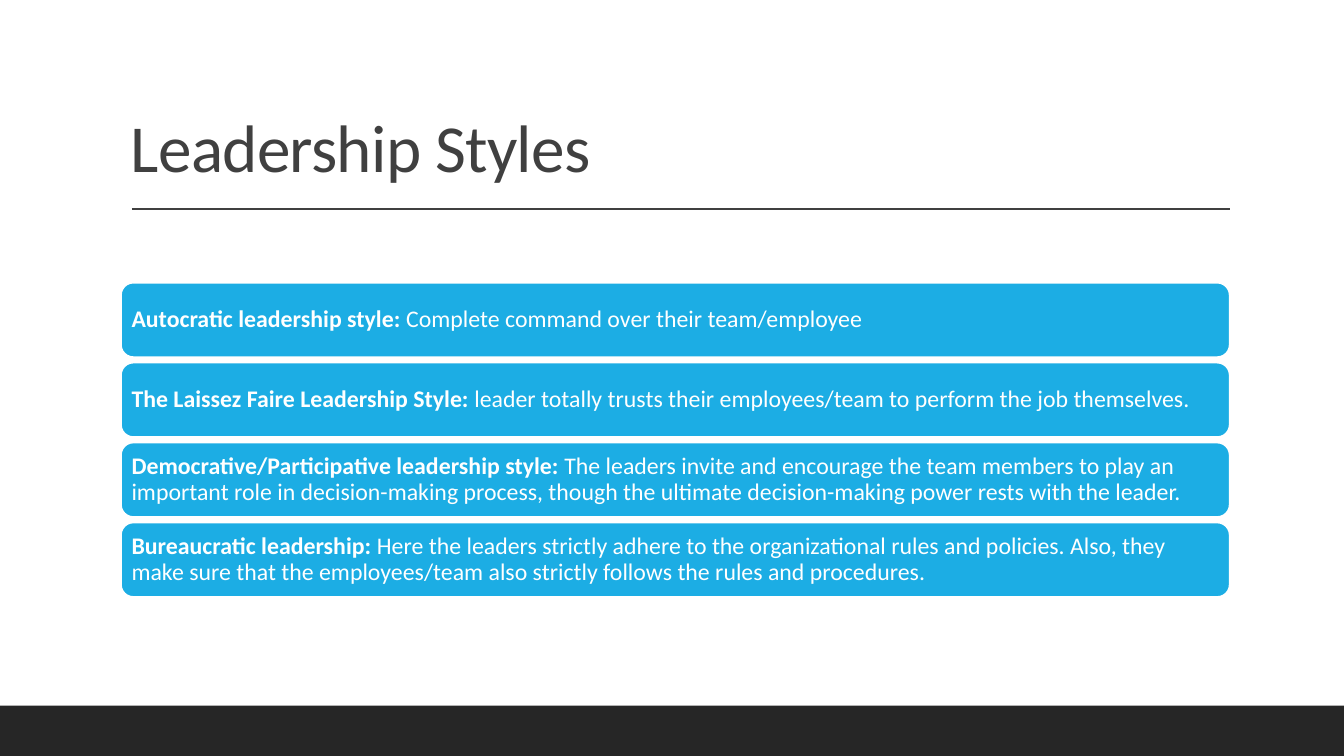
"""Build the Leadership Styles slide."""
import pptx
import pptx.util
import pptx.dml.color
import pptx.enum.shapes
import pptx.enum.text
import pptx.oxml

Pt = pptx.util.Pt
SHAPE = pptx.enum.shapes.MSO_SHAPE
ANCHOR = pptx.enum.text.MSO_ANCHOR
ALIGN = pptx.enum.text.PP_ALIGN
COLORS = {"dark": "262626", "gray": "404040", "blue": "1CADE4", "white": "FFFFFF"}
STYLES = [
    ("Autocratic leadership style: ", "Complete command over their team/employee"),
    ("The Laissez Faire Leadership Style:",
     " leader totally trusts their employees/team to perform the job themselves."),
    ("Democrative/Participative leadership style: ",
     "The leaders invite and encourage the team members to play an important role in "
     "decision-making process, though the ultimate decision-making power rests with "
     "the leader. "),
    ("Bureaucratic leadership:",
     " Here the leaders strictly adhere to the organizational rules and policies. Also, "
     "they make sure that the employees/team also strictly follows the rules and "
     "procedures."),
]
LEFT, WIDTH = 86.4, 792
TOP, HEIGHT, PITCH = 201.9, 53.2, 57.1


def color(name):
    return pptx.dml.color.RGBColor.from_string(COLORS[name])


def add_block(slide, kind, box, fill):
    block = slide.shapes.add_shape(kind, *map(Pt, box))
    block.shadow.inherit = False
    block.fill.solid()
    block.fill.fore_color.rgb = color(fill)
    block.line.fill.background()
    return block


def add_rule(slide, start, end, y):
    rule = slide.shapes.add_connector(
        pptx.enum.shapes.MSO_CONNECTOR.STRAIGHT, Pt(start), Pt(y), Pt(end), Pt(y))
    rule.line.color.rgb = color("gray")
    rule.line.width = Pt(1)
    props = rule._element.spPr
    props.append(pptx.oxml.parse_xml(
        '<a:effectLst xmlns:a="http://schemas.openxmlformats.org/drawingml/2006/main"/>'))


def set_text(frame, parts, size, shade, anchor):
    frame.word_wrap = True
    frame.vertical_anchor = anchor
    para = frame.paragraphs[0]
    para.alignment = ALIGN.LEFT
    para.line_spacing = 0.9
    para.font.name = "Calibri"
    para.font.size = Pt(size)
    para.font.color.rgb = color(shade)
    for text, bold in parts:
        run = para.add_run()
        run.text = text
        run.font.bold = bold
    return para


def add_title(slide, text):
    box = slide.shapes.add_textbox(Pt(LEFT), Pt(22.3), Pt(WIDTH), Pt(114.5))
    para = set_text(box.text_frame, [(text, False)], 48, "gray", ANCHOR.BOTTOM)
    para.runs[0]._r.get_or_add_rPr().set("spc", "-50")


def add_card(slide, top, label, detail):
    card = add_block(slide, SHAPE.ROUNDED_RECTANGLE, (LEFT, top, WIDTH, HEIGHT), "blue")
    card.line.color.rgb = color("white")
    card.line.width = Pt(1.25)
    frame = card.text_frame
    frame.margin_left = frame.margin_right = Pt(5)
    frame.margin_top = frame.margin_bottom = Pt(5)
    set_text(frame, [(label, True), (detail, False)], 17, "white", ANCHOR.MIDDLE)


def main():
    deck = pptx.Presentation()
    deck.slide_width, deck.slide_height = Pt(960), Pt(540)
    slide = deck.slides.add_slide(deck.slide_layouts[6])
    add_block(slide, SHAPE.RECTANGLE, (0, 504, 960, 36), "dark")
    add_rule(slide, 94.3, 878.8, 149.4)
    add_title(slide, "Leadership Styles")
    for row, (label, detail) in enumerate(STYLES):
        add_card(slide, TOP + row * PITCH, label, detail)
    deck.save("out.pptx")


if __name__ == "__main__":
    main()
